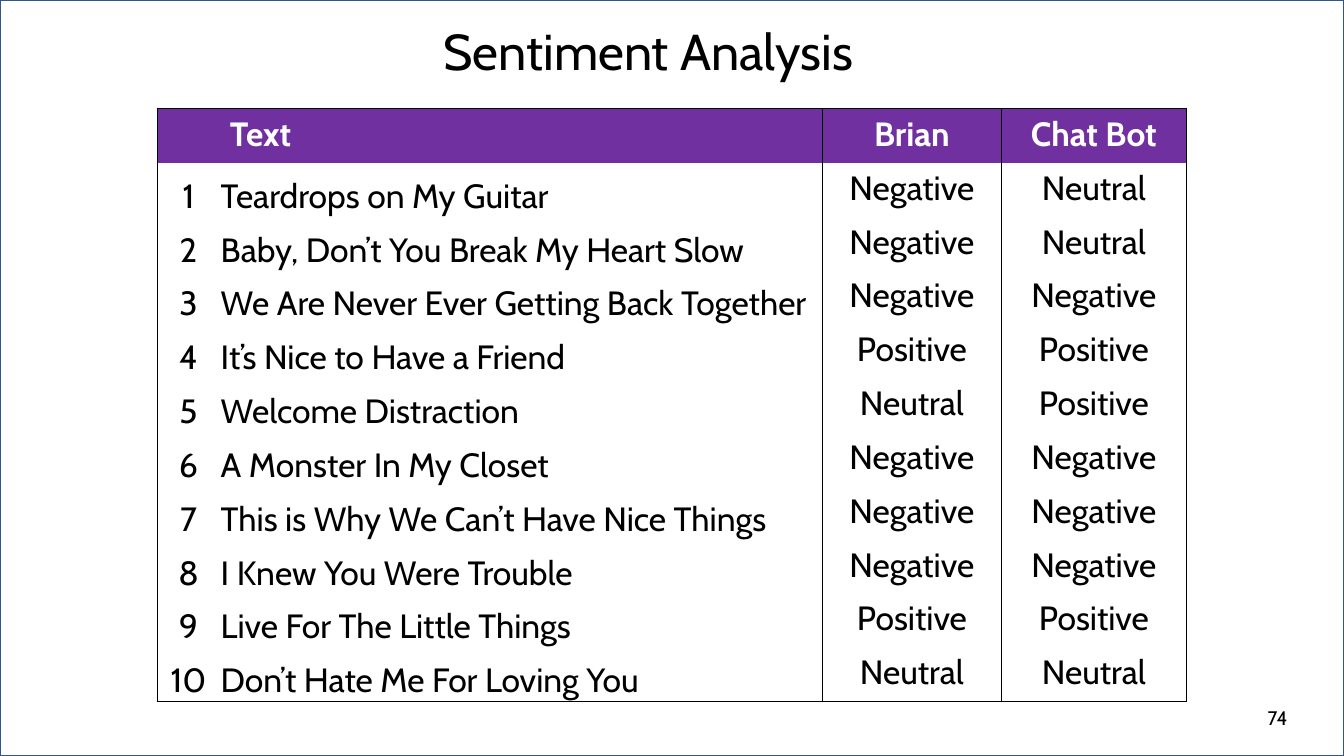
import dataclasses

import pptx
import pptx.dml.color
import pptx.enum.shapes
import pptx.enum.text
import pptx.oxml
import pptx.oxml.ns
import pptx.util

Inches = pptx.util.Inches
Align = pptx.enum.text.PP_ALIGN
Anchor = pptx.enum.text.MSO_ANCHOR


@dataclasses.dataclass(frozen=True)
class Theme:
    font: str = "Cabin"
    ink: str = "000000"
    paper: str = "FFFFFF"
    header: str = "7030A0"
    frame: str = "325491"
    title_size: int = 36
    table_size: int = 24
    number_size: int = 14
    line_width: int = 1


HEADINGS = ("", "Text", "Brian", "Chat Bot")
RATINGS = (
    ("Teardrops on My Guitar", "Negative", "Neutral"),
    ("Baby, Don’t You Break My Heart Slow", "Negative", "Neutral"),
    ("We Are Never Ever Getting Back Together", "Negative", "Negative"),
    ("It’s Nice to Have a Friend", "Positive", "Positive"),
    ("Welcome Distraction", "Neutral", "Positive"),
    ("A Monster In My Closet", "Negative", "Negative"),
    ("This is Why We Can’t Have Nice Things", "Negative", "Negative"),
    ("I Knew You Were Trouble", "Negative", "Negative"),
    ("Live For The Little Things", "Positive", "Positive"),
    ("Don’t Hate Me For Loving You", "Neutral", "Neutral"),
)
COLUMN_WIDTHS = (0.62, 5.98, 1.77, 1.84)
ROW_HEIGHT = 5.88 / (len(RATINGS) + 1)


def rgb(color):
    return pptx.dml.color.RGBColor.from_string(color)


def write_text(text_frame, text, *, font, size, color, bold=False, align=Align.LEFT):
    paragraph = text_frame.paragraphs[0]
    paragraph.alignment = align
    run = paragraph.add_run()
    run.text = text
    run.font.name = font
    run.font.size = pptx.util.Pt(size)
    run.font.color.rgb = rgb(color)
    run.font.bold = bold


def set_borders(cell, sides, color, width):
    """Draw the named sides (L, R, T, B) and clear the others."""
    properties = cell._tc.get_or_add_tcPr()
    for index, side in enumerate("LRTB"):
        if side in sides:
            paint = f'<a:solidFill><a:srgbClr val="{color}"/></a:solidFill>'
        else:
            paint = "<a:noFill/>"
        line = pptx.oxml.parse_xml(
            f'<a:ln{side} {pptx.oxml.ns.nsdecls("a")} '
            f'w="{pptx.util.Pt(width)}">{paint}</a:ln{side}>'
        )
        properties.insert(index, line)


class SlideBuilder:
    def __init__(self, slide, theme):
        self.slide = slide
        self.theme = theme

    def frame(self, width, height):
        shape = self.slide.shapes.add_shape(
            pptx.enum.shapes.MSO_SHAPE.RECTANGLE, 0, 0, width, height
        )
        shape.shadow.inherit = False
        shape.fill.solid()
        shape.fill.fore_color.rgb = rgb(self.theme.paper)
        shape.line.color.rgb = rgb(self.theme.frame)
        shape.line.width = pptx.util.Pt(self.theme.line_width)

    def text(self, text, left, top, width, height, size, align):
        box = self.slide.shapes.add_textbox(
            Inches(left), Inches(top), Inches(width), Inches(height)
        )
        box.text_frame.word_wrap = True
        write_text(box.text_frame, text, font=self.theme.font, size=size,
                   color=self.theme.ink, align=align)

    def ratings_table(self, left, top):
        rows = [HEADINGS]
        rows += [(str(number), *rating) for number, rating in enumerate(RATINGS, 1)]
        table = self.slide.shapes.add_table(
            len(rows), len(HEADINGS), Inches(left), Inches(top),
            Inches(sum(COLUMN_WIDTHS)), Inches(ROW_HEIGHT * len(rows)),
        ).table
        table.first_row = False
        table.horz_banding = False
        for column, width in zip(table.columns, COLUMN_WIDTHS):
            column.width = Inches(width)
        for row_index, row in enumerate(rows):
            table.rows[row_index].height = Inches(ROW_HEIGHT)
            for column_index, text in enumerate(row):
                self.table_cell(table.cell(row_index, column_index), text,
                                row_index, column_index)

    def table_cell(self, cell, text, row, column):
        theme = self.theme
        is_header = row == 0
        if is_header:
            cell.fill.solid()
            cell.fill.fore_color.rgb = rgb(theme.header)
        else:
            cell.fill.background()
            if column < 2:
                cell.vertical_anchor = Anchor.BOTTOM
                cell.margin_left = cell.margin_right = cell.margin_top = Inches(0.01)
                cell.margin_bottom = 0
        # The number and text columns share one frame with no line between them.
        sides = ("R", "L")[column == 0] if column < 2 else "LR"
        sides += "T" if is_header else ""
        sides += "B" if row == len(RATINGS) else ""
        set_borders(cell, sides, theme.ink, theme.line_width)
        write_text(cell.text_frame, text, font=theme.font, size=theme.table_size,
                   color=theme.paper if is_header else theme.ink, bold=is_header,
                   align=Align.LEFT if column == 1 else Align.CENTER)


def main():
    presentation = pptx.Presentation()
    presentation.slide_width = Inches(13.33)
    presentation.slide_height = Inches(7.5)
    theme = Theme()
    builder = SlideBuilder(
        presentation.slides.add_slide(presentation.slide_layouts[6]), theme
    )
    builder.frame(presentation.slide_width, presentation.slide_height)
    builder.text("74", 9.87, 6.95, 3, 0.4, theme.number_size, Align.RIGHT)
    builder.ratings_table(1.56, 1.08)
    builder.text("Sentiment Analysis", 1.93, 0.15, 9, 0.71,
                 theme.title_size, Align.CENTER)
    presentation.save("out.pptx")


if __name__ == "__main__":
    main()
